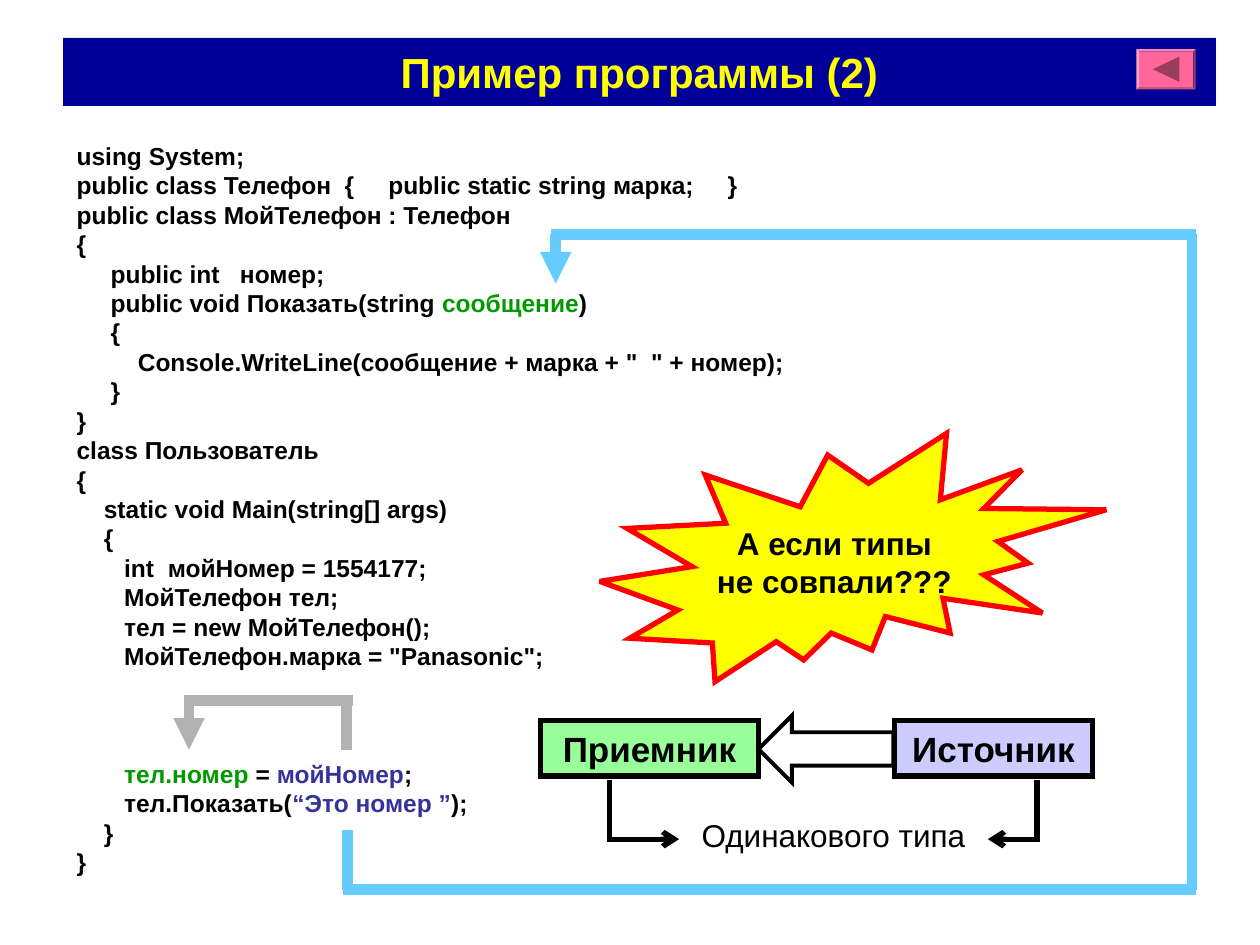
"""Build the slide "Пример программы (2)" with code, data-flow arrows and a type diagram."""
from dataclasses import dataclass

from lxml.etree import SubElement
from pptx import Presentation
from pptx.dml.color import RGBColor
from pptx.enum.shapes import MSO_CONNECTOR, MSO_SHAPE
from pptx.enum.text import MSO_ANCHOR, PP_ALIGN
from pptx.oxml.ns import qn
from pptx.util import Inches, Pt


@dataclass(frozen=True)
class Theme:
    font: str = "Arial"
    black: RGBColor = RGBColor.from_string("000000")
    navy: RGBColor = RGBColor.from_string("000099")
    yellow: RGBColor = RGBColor.from_string("FFFF00")
    red: RGBColor = RGBColor.from_string("FF0000")
    pink: RGBColor = RGBColor.from_string("FF6699")
    dark_pink: RGBColor = RGBColor.from_string("993D5C")
    green: RGBColor = RGBColor.from_string("009900")
    indigo: RGBColor = RGBColor.from_string("333399")
    lilac: RGBColor = RGBColor.from_string("CCCCFF")
    mint: RGBColor = RGBColor.from_string("99FF99")
    gray: RGBColor = RGBColor.from_string("B2B2B2")
    sky: RGBColor = RGBColor.from_string("66CCFF")
    title_size: int = 24
    box_size: int = 20
    note_size: int = 18
    code_size: int = 14
    line_height: float = 1.2


theme = Theme()


def write_lines(text_frame, lines, size, bold=True, alignment=PP_ALIGN.CENTER):
    for index, runs in enumerate(lines):
        paragraph = text_frame.paragraphs[0] if index == 0 else text_frame.add_paragraph()
        paragraph.alignment = alignment
        paragraph.line_spacing = Pt(size * theme.line_height)
        for text, color in runs:
            run = paragraph.add_run()
            run.text = text
            run.font.name = theme.font
            run.font.size = Pt(size)
            run.font.bold = bold
            run.font.color.rgb = color


def style_line(shape, color, width, arrowhead=None):
    shape.line.color.rgb = color
    shape.line.width = Pt(width)
    outline = shape._element.spPr.find(qn("a:ln"))
    SubElement(outline, qn("a:miter"), lim="800000")
    if arrowhead:
        SubElement(outline, qn("a:tailEnd"), type=arrowhead)


presentation = Presentation()
presentation.slide_width = Inches(10)
presentation.slide_height = Inches(7.5)
slide = presentation.slides.add_slide(presentation.slide_layouts[5])
shapes = slide.shapes

title = shapes.title
title.left, title.top = Inches(0.5), Inches(0.3)
title.width, title.height = Inches(9.15), Inches(0.54)
title.fill.solid()
title.fill.fore_color.rgb = theme.navy
title.text_frame.vertical_anchor = MSO_ANCHOR.MIDDLE
write_lines(title.text_frame, [[("Пример программы (2)", theme.yellow)]], theme.title_size)

button = shapes.add_shape(MSO_SHAPE.BEVEL, Inches(9.02), Inches(0.39), Inches(0.47), Inches(0.32))
button.adjustments[0] = 0.06
button_builder = shapes.build_freeform(Inches(9.15), Inches(0.55))
button_builder.add_line_segments([(Inches(9.36), Inches(y)) for y in (0.45, 0.65)], close=True)
button_mark = button_builder.convert_to_shape()
for shape, color in [(button, theme.pink), (button_mark, theme.dark_pink)]:
    shape.shadow.inherit = False
    shape.fill.solid()
    shape.fill.fore_color.rgb = color
    shape.line.fill.background()

code_before_assignment = """using System;
public class Телефон  {     public static string марка;     }
public class МойТелефон : Телефон
{
     public int   номер;
     public void Показать(string |сообщение|)
     {
         Console.WriteLine(сообщение + марка + "  " + номер);
     }
}
class Пользователь
{
    static void Main(string[] args)
    {
       int  мойНомер = 1554177;
       МойТелефон тел;
       тел = new МойТелефон();
       МойТелефон.марка = "Panasonic";""".split("\n")
code_lines = [
    [(text, theme.green if part == 1 else theme.black) for part, text in enumerate(line.split("|"))]
    for line in code_before_assignment
]
assignment_index = len(code_lines)
code_lines += [
    [("       тел.номер", theme.green), (" = ", theme.black), ("мойНомер", theme.indigo), (";", theme.black)],
    [("       тел.Показать(", theme.black), ("“Это номер ”", theme.indigo), (");", theme.black)],
    [("    }", theme.black)],
    [("}", theme.black)],
]
code_box = shapes.add_textbox(Inches(0.51), Inches(1.07), Inches(6.3), Inches(5.94))
code_box.text_frame.word_wrap = True
write_lines(code_box.text_frame, code_lines, theme.code_size, alignment=PP_ALIGN.LEFT)
assignment = code_box.text_frame.paragraphs[assignment_index]
assignment.space_before = Pt(3 * theme.code_size * theme.line_height)

for label, left, width, color in [
    ("Источник", 7.1, 1.57, theme.lilac),
    ("Приемник", 4.29, 1.73, theme.mint),
]:
    box = shapes.add_shape(MSO_SHAPE.RECTANGLE, Inches(left), Inches(5.72), Inches(width), Inches(0.44))
    box.shadow.inherit = False
    box.fill.solid()
    box.fill.fore_color.rgb = color
    style_line(box, theme.black, 3)
    box.text_frame.word_wrap = True
    box.text_frame.vertical_anchor = MSO_ANCHOR.MIDDLE
    write_lines(box.text_frame, [[(label, theme.black)]], theme.box_size)

for start_x, start_y, end_x, end_y, color, arrowhead in [
    (2.75, 5.95, 2.75, 5.56, theme.gray, None),
    (2.8, 5.56, 1.46, 5.56, theme.gray, None),
    (1.5, 5.56, 1.5, 5.95, theme.gray, "triangle"),
    (2.76, 6.59, 2.76, 7.06, theme.sky, None),
    (2.72, 7.06, 9.49, 7.06, theme.sky, None),
    (9.46, 7.06, 9.46, 1.86, theme.sky, None),
    (4.37, 1.86, 9.49, 1.86, theme.sky, None),
    (4.41, 1.86, 4.41, 2.25, theme.sky, "triangle"),
]:
    connector = shapes.add_connector(
        MSO_CONNECTOR.STRAIGHT, Inches(start_x), Inches(start_y), Inches(end_x), Inches(end_y)
    )
    style_line(connector, color, 6, arrowhead)
    SubElement(connector._element.spPr, qn("a:effectLst"))

block_arrow = shapes.add_shape(MSO_SHAPE.LEFT_ARROW, Inches(6.02), Inches(5.68), Inches(1.07), Inches(0.53))
block_arrow.shadow.inherit = False
block_arrow.fill.background()
style_line(block_arrow, theme.black, 2.25)

burst = shapes.add_shape(MSO_SHAPE.EXPLOSION2, Inches(4.76), Inches(3.44), Inches(4.02), Inches(1.97))
burst.shadow.inherit = False
burst.fill.solid()
burst.fill.fore_color.rgb = theme.yellow
style_line(burst, theme.red, 3)
burst.text_frame.word_wrap = False
burst.text_frame.vertical_anchor = MSO_ANCHOR.MIDDLE
question = [[("А если типы", theme.black)], [("не совпали???", theme.black)]]
write_lines(burst.text_frame, question, theme.note_size)

note = shapes.add_textbox(Inches(5.47), Inches(6.43), Inches(2.3), Inches(0.4))
note.text_frame.word_wrap = False
write_lines(note.text_frame, [[("Одинакового типа", theme.black)]], theme.note_size, False, PP_ALIGN.LEFT)

for start_x, end_x in [(4.84, 5.39), (8.23, 7.84)]:
    elbow_builder = shapes.build_freeform(Inches(start_x), Inches(6.19))
    elbow_builder.add_line_segments([(Inches(x), Inches(6.66)) for x in (start_x, end_x)], close=False)
    elbow = elbow_builder.convert_to_shape()
    elbow.shadow.inherit = False
    elbow.fill.background()
    style_line(elbow, theme.black, 3, "arrow")

presentation.save("out.pptx")
